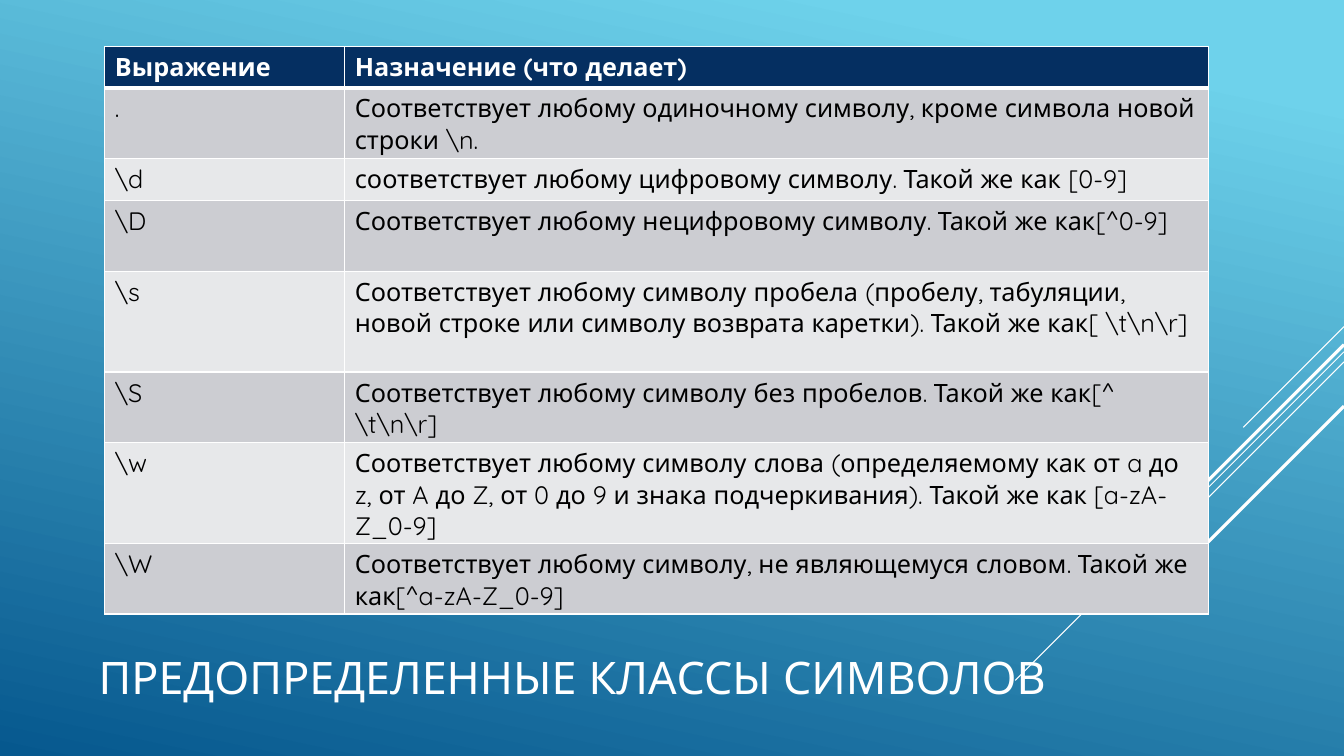
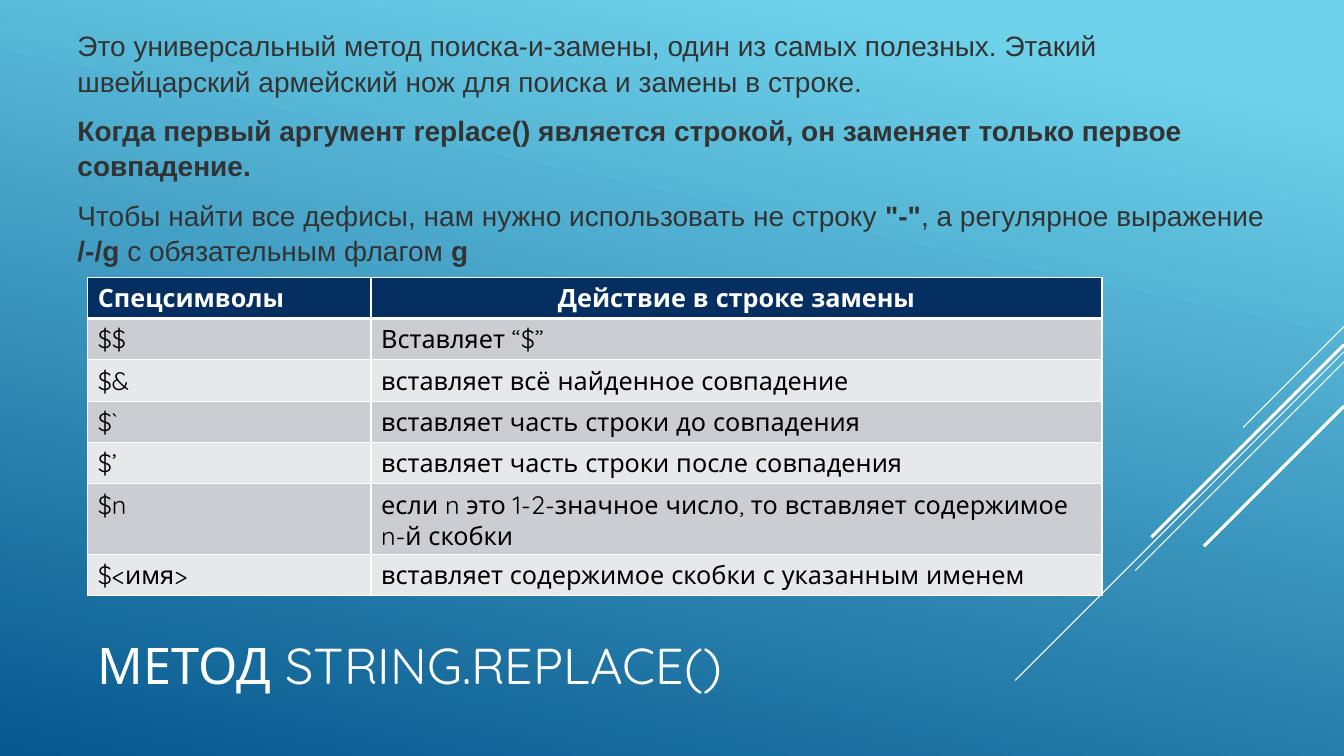
from lxml.etree import SubElement
from pptx import Presentation
from pptx.dml.color import RGBColor
from pptx.enum.shapes import MSO_CONNECTOR
from pptx.enum.text import MSO_ANCHOR, PP_ALIGN
from pptx.oxml.ns import qn
from pptx.util import Pt

PX = 9144  # 100 px to the inch
WIDTH, HEIGHT = 1333, 750

WHITE, BLACK, GREY = "FFFFFF", "000000", "333333"
SKY, DEEP_BLUE, NAVY = "6ED2EB", "06588E", "052F61"
BANDS = ("CCCDD2", "E7E8EA")
THEME_FONT, BODY_FONT = "Quicksand", "Arial"

# Diagonals start at the right edge: start y, horizontal run, weight in points
DIAGONALS = (
    (324, 100, 0.75),
    (349, 326, 0.75),
    (359, 207, 0.75),
    (342, 191, 2.25),
    (403, 139, 2.25),
)

CLASSES = (
    ("Выражение", "Назначение (что делает)"),
    (".", r"Соответствует любому одиночному символу, кроме символа новой строки \n."),
    (r"\d", "соответствует любому цифровому символу. Такой же как [0-9]"),
    (r"\D", "Соответствует любому нецифровому символу. Такой же как[^0-9]"),
    (r"\s", "Соответствует любому символу пробела (пробелу, табуляции, новой строке "
            r"или символу возврата каретки). Такой же как[ \t\n\r]"),
    (r"\S", r"Соответствует любому символу без пробелов. Такой же как[^ \t\n\r]"),
    (r"\w", "Соответствует любому символу слова (определяемому как от a до z, от A до Z, "
            "от 0 до 9 и знака подчеркивания). Такой же как [a-zA-Z_0-9]"),
    (r"\W", "Соответствует любому символу, не являющемуся словом. Такой же как[^a-zA-Z_0-9]"),
)

REPLACEMENTS = (
    ("Спецсимволы", "Действие в строке замены"),
    ("$$", "Вставляет “$”"),
    ("$&", "вставляет всё найденное совпадение"),
    ("$`", "вставляет часть строки до совпадения"),
    ("$’", "вставляет часть строки после совпадения"),
    ("$n", "если n это 1-2-значное число, то вставляет содержимое n-й скобки"),
    ("$<имя>", "вставляет содержимое скобки с указанным именем"),
)

REPLACE_NOTES = (
    "Это универсальный метод поиска-и-замены, один из самых полезных. "
    "Этакий швейцарский армейский нож для поиска и замены в строке.",
    "**Когда первый аргумент replace() является строкой, он заменяет только первое совпадение.**",
    'Чтобы найти все дефисы, нам нужно использовать не строку **"-"**, '
    "а регулярное выражение **/-/g** с обязательным флагом **g**",
)


def color(value):
    return RGBColor.from_string(value)


def write_text(frame, *texts, size=18, font=THEME_FONT, fill=WHITE, bold=False,
               align=PP_ALIGN.LEFT, before=0, after=0, spacing=1.0):
    """Write one paragraph per text; parts between ** are bold."""
    for index, text in enumerate(texts):
        paragraph = frame.add_paragraph() if index else frame.paragraphs[0]
        paragraph.alignment = align
        paragraph.space_before = Pt(before if index else 0)
        paragraph.space_after = Pt(after)
        paragraph.line_spacing = spacing
        for position, part in enumerate(text.split("**")):
            if part:
                run = paragraph.add_run()
                run.text = part
                run.font.size = Pt(size)
                run.font.name = font
                run.font.bold = bold or position % 2 == 1
                run.font.color.rgb = color(fill)


def add_text(slide, box, *texts, **text_format):
    frame = slide.shapes.add_textbox(*(value * PX for value in box)).text_frame
    frame.word_wrap = True
    frame.vertical_anchor = MSO_ANCHOR.MIDDLE
    write_text(frame, *texts, **text_format)


def set_borders(cell, **weights):
    properties = cell._tc.get_or_add_tcPr()
    for side in "LRTB":
        line = SubElement(properties, qn(f"a:ln{side}"), w=str(Pt(weights.get(side, 1))))
        solid = SubElement(line, qn("a:solidFill"))
        SubElement(solid, qn("a:srgbClr"), val=WHITE)


def add_banded_table(slide, left, top, columns, heights, rows, header_aligns):
    frame = slide.shapes.add_table(len(rows), len(columns), left * PX, top * PX,
                                   sum(columns) * PX, sum(heights) * PX)
    table = frame.table
    for column, width in zip(table.columns, columns):
        column.width = width * PX
    for row_index, (texts, height) in enumerate(zip(rows, heights)):
        table.rows[row_index].height = height * PX
        header = row_index == 0
        for column_index, text in enumerate(texts):
            cell = table.cell(row_index, column_index)
            set_borders(cell, T=3 if row_index == 1 else 1, B=3 if header else 1)
            cell.fill.solid()
            cell.fill.fore_color.rgb = color(NAVY if header else BANDS[(row_index - 1) % 2])
            write_text(cell.text_frame, text, bold=header, fill=WHITE if header else BLACK,
                       align=header_aligns[column_index] if header else PP_ALIGN.LEFT)


def set_background(master):
    fill = master.background.fill
    fill.gradient()
    fill.gradient_angle = 360 - 102
    for stop, position, value in zip(fill.gradient_stops, (0.1, 1), (SKY, DEEP_BLUE)):
        stop.position = position
        stop.color.rgb = color(value)


def add_diagonals(slide):
    for top, run, weight in DIAGONALS:
        points = (WIDTH, top, WIDTH - run, top + run)
        line = slide.shapes.add_connector(MSO_CONNECTOR.STRAIGHT,
                                          *(value * PX for value in points))
        line.line.color.rgb = color(WHITE)
        line.line.width = Pt(weight)
        SubElement(line._element.spPr, qn("a:effectLst"))


def add_base_slide(presentation, title, title_box, title_size):
    slide = presentation.slides.add_slide(presentation.slide_layouts[6])
    add_diagonals(slide)
    add_text(slide, title_box, title, size=title_size)
    return slide


def add_classes_slide(presentation):
    slide = add_base_slide(presentation, "ПРЕДОПРЕДЕЛЕННЫЕ КЛАССЫ СИМВОЛОВ",
                           (88, 603, 1095, 136), 32)
    add_banded_table(slide, 104, 46, (238, 857), (41, 70, 42, 70, 100, 70, 100, 70),
                     CLASSES, (PP_ALIGN.LEFT, PP_ALIGN.LEFT))


def add_replace_slide(presentation):
    slide = add_base_slide(presentation, "МЕТОД STRING.REPLACE()", (87, 613, 933, 93), 36)
    add_text(slide, (67, 43, 1199, 206), *REPLACE_NOTES, size=20, font=BODY_FONT,
             fill=GREY, before=4, after=6, spacing=1.05)
    add_banded_table(slide, 87, 275, (281, 725), (41,) * len(REPLACEMENTS),
                     REPLACEMENTS, (PP_ALIGN.LEFT, PP_ALIGN.CENTER))


def main():
    presentation = Presentation()
    presentation.slide_width = WIDTH * PX
    presentation.slide_height = HEIGHT * PX
    set_background(presentation.slide_master)
    add_classes_slide(presentation)
    add_replace_slide(presentation)
    presentation.save("out.pptx")


if __name__ == "__main__":
    main()
